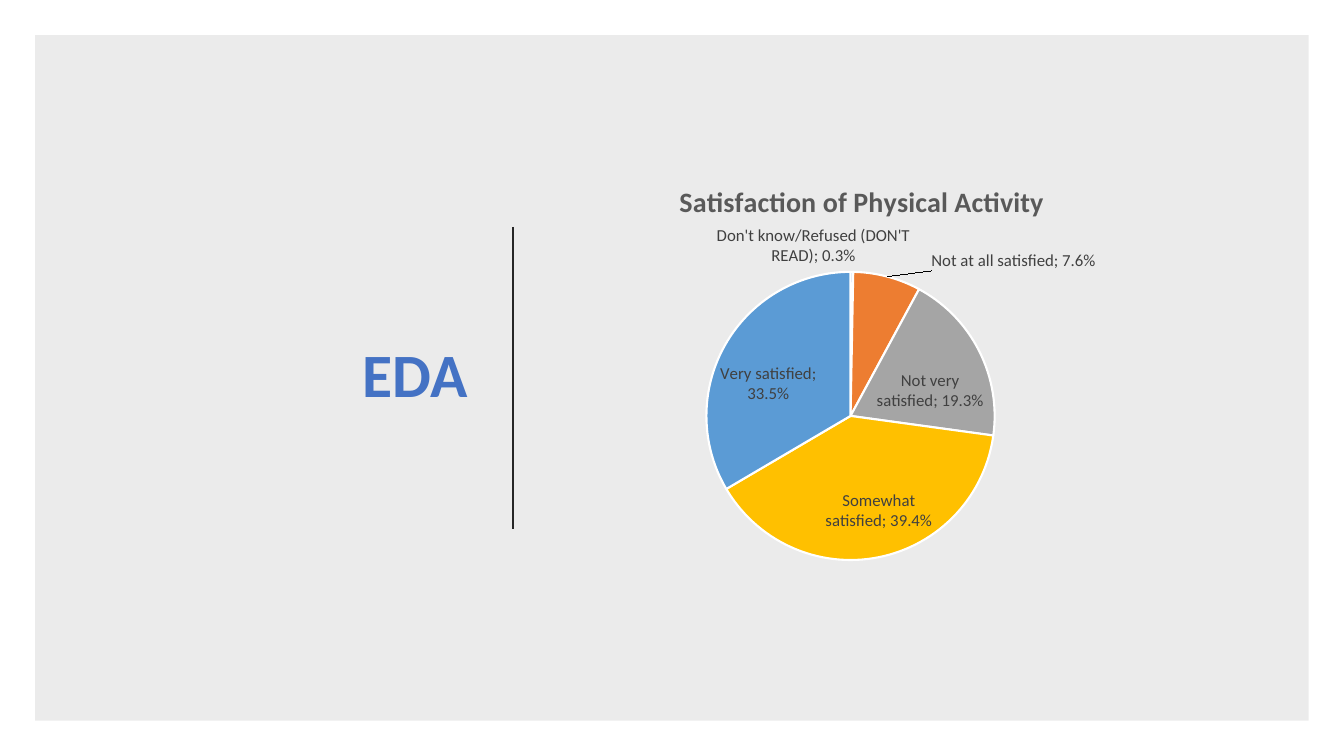
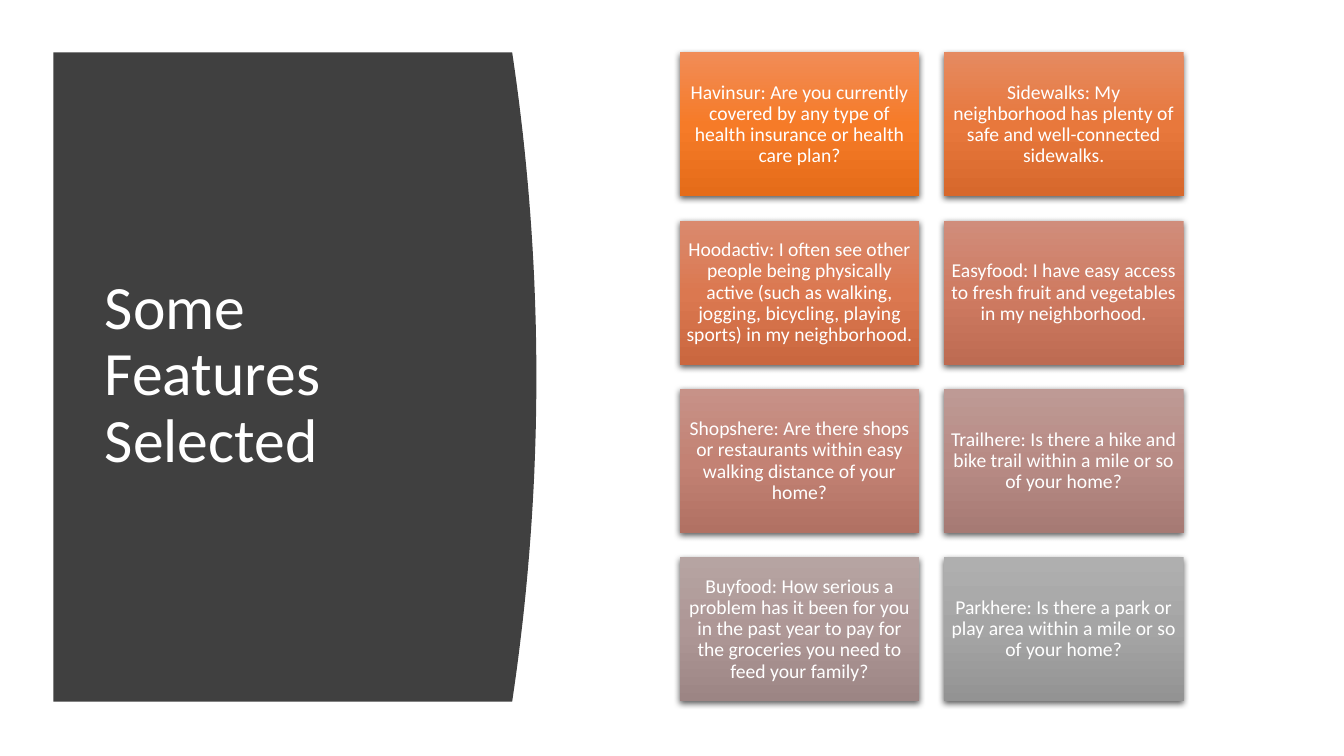
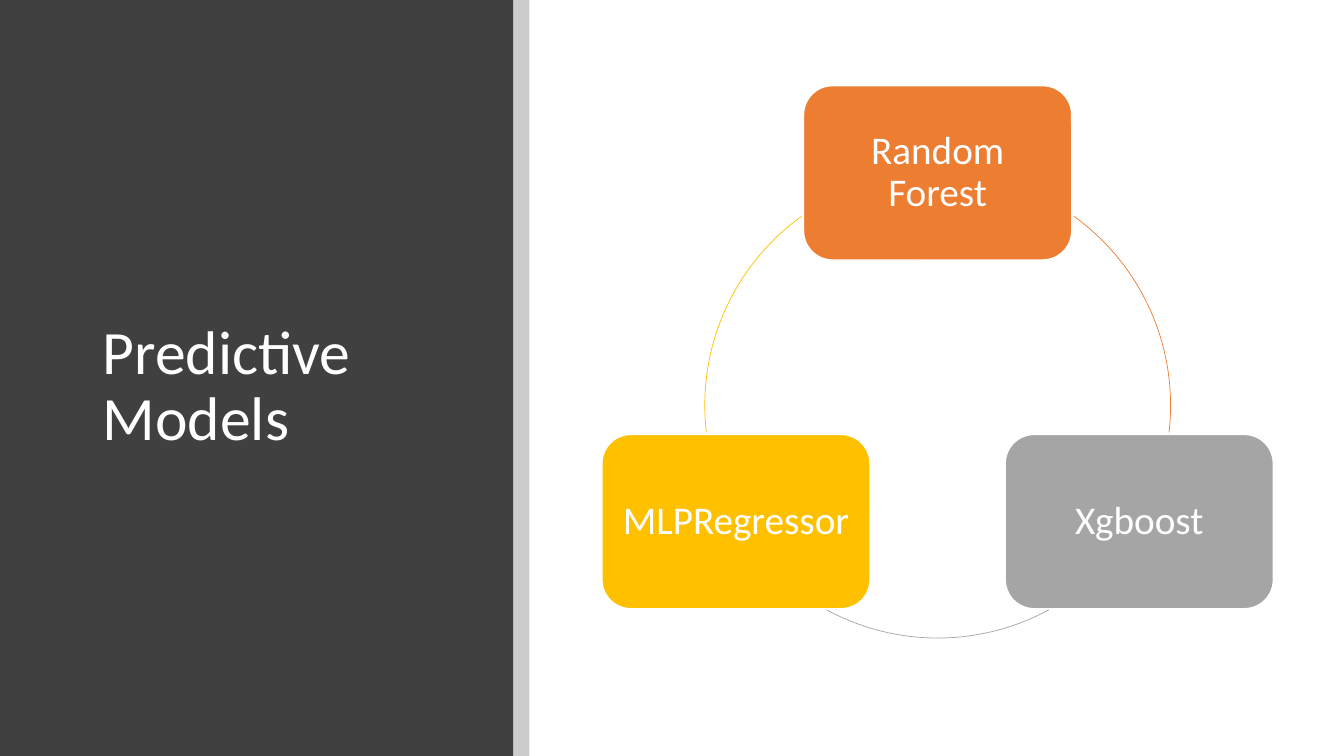
from lxml import etree
from pptx import Presentation
from pptx.chart.data import CategoryChartData
from pptx.dml.color import RGBColor
from pptx.enum.chart import XL_CHART_TYPE, XL_LABEL_POSITION
from pptx.enum.shapes import MSO_CONNECTOR, MSO_SHAPE
from pptx.enum.text import MSO_ANCHOR, PP_ALIGN
from pptx.oxml import parse_xml
from pptx.oxml.ns import nsdecls, qn
from pptx.util import Inches, Pt

PIE = XL_CHART_TYPE.PIE
BEST_FIT = XL_LABEL_POSITION.BEST_FIT
STRAIGHT = MSO_CONNECTOR.STRAIGHT
RECTANGLE = MSO_SHAPE.RECTANGLE
ROUNDED = MSO_SHAPE.ROUNDED_RECTANGLE
ARC = MSO_SHAPE.ARC
MIDDLE = MSO_ANCHOR.MIDDLE
LEFT, CENTER, RIGHT = PP_ALIGN.LEFT, PP_ALIGN.CENTER, PP_ALIGN.RIGHT

FONT = "Calibri"
WHITE, BLACK, DARK = "FFFFFF", "000000", "404040"
BLUE, ORANGE, GRAY, GOLD, SKY = "4472C4", "ED7D31", "A5A5A5", "FFC000", "5B9BD5"
SLIDE_WIDTH, SLIDE_HEIGHT = 13.33, 7.5

CHART_TITLE = "Satisfaction of Physical Activity"
CHART_BOX = (3.3, 1.53, 10.59, 4.44)
SATISFACTION = [
    ("Don't know/Refused (DON'T READ)", 0.003, BLUE),
    ("Not at all satisfied", 0.076, ORANGE),
    ("Not very satisfied", 0.193, GRAY),
    ("Somewhat satisfied", 0.394, GOLD),
    ("Very satisfied", 0.335, SKY),
]

FEATURES = [
    ("Havinsur: Are you currently covered by any type of health insurance "
     "or health care plan?", ("F18C57", "F67B28", "E56C19")),
    ("Sidewalks: My neighborhood has plenty of safe and well-connected "
     "sidewalks.", ("E58A61", "E8783C", "D7682C")),
    ("Hoodactiv: I often see other people being physically active (such as "
     "walking, jogging, bicycling, playing sports) in my neighborhood.",
     ("DA8A6E", "DB7850", "CA673F")),
    ("Easyfood: I have easy access to fresh fruit and vegetables in my "
     "neighborhood.", ("D08D7B", "CF7B62", "BD6B52")),
    ("Shopshere: Are there shops or restaurants within easy walking distance "
     "of your home?", ("C79288", "C38274", "B17163")),
    ("Trailhere: Is there a hike and bike trail within a mile or so of your "
     "home?", ("BE9A95", "B88B85", "A67A74")),
    ("Buyfood: How serious a problem has it been for you in the past year to "
     "pay for the groceries you need to feed your family?",
     ("B6A4A2", "AE9796", "9C8584")),
    ("Parkhere: Is there a park or play area within a mile or so of your "
     "home?", ("AFAFAF", "A5A5A5", "939393")),
]
TILE_LEFT, TILE_TOP, TILE_WIDTH, TILE_HEIGHT = 6.74, 0.52, 2.38, 1.43
COLUMN_STEP, ROW_STEP, COLUMNS = 2.62, 1.67, 2

MODELS = [
    ("Random Forest", ORANGE, 7.97, 0.85, (305.8, 6.7)),
    ("Xgboost", GRAY, 9.97, 4.31, (61.5, 118.5)),
    ("MLPRegressor", GOLD, 5.97, 4.31, (173.3, 234.2)),
]
MODEL_WIDTH, MODEL_HEIGHT = 2.66, 1.73
RING_BOX = (6.99, 1.71, 4.62, 4.62)
ARC_UNITS_PER_DEGREE = 0.6


def rgb(color):
    return RGBColor.from_string(color)


def inches(*lengths):
    return [Inches(length) for length in lengths]


def add_run(paragraph, text, size, color, bold=False):
    run = paragraph.add_run()
    run.text = text
    run.font.name = FONT
    run.font.size = Pt(size)
    run.font.bold = bold
    run.font.color.rgb = rgb(color)


def write(shape, text, size, color, align, margin=None, bold=False):
    frame = shape.text_frame
    frame.word_wrap = True
    frame.vertical_anchor = MIDDLE
    if margin is not None:
        frame.margin_left = frame.margin_right = Inches(margin)
        frame.margin_top = frame.margin_bottom = Inches(margin)
    paragraph = frame.paragraphs[0]
    paragraph.alignment = align
    paragraph.line_spacing = 0.9
    add_run(paragraph, text, size, color, bold)


def set_alpha(shape, percent):
    color = shape.element.spPr.find(qn("a:solidFill"))[0]
    etree.SubElement(color, qn("a:alpha")).set("val", str(percent * 1000))


def style(shape, fill=None, alpha=None, line=None, line_width=1):
    shape.shadow.inherit = False
    if fill:
        shape.fill.solid()
        shape.fill.fore_color.rgb = rgb(fill)
        if alpha:
            set_alpha(shape, alpha)
    else:
        shape.fill.background()
    if line:
        shape.line.color.rgb = rgb(line)
        shape.line.width = Pt(line_width)
    else:
        shape.line.fill.background()


def add_shape(slide, kind, box, **look):
    shape = slide.shapes.add_shape(kind, *inches(*box))
    style(shape, **look)
    return shape


def add_title(slide, text, box, color=WHITE, align=LEFT, bold=False):
    title = slide.shapes.title
    title.left, title.top, title.width, title.height = inches(*box)
    write(title, text, 44, color, align, bold=bold)
    slide.shapes.element.append(title.element)


def manual_layout(x, y, size=None):
    parts = []
    if size:
        parts += [("layoutTarget", "inner")]
    parts += [("xMode", "edge"), ("yMode", "edge")] if y else []
    parts += [("x", x), ("y", y)]
    if size:
        parts += [("w", size[0]), ("h", size[1])]
    body = "".join(f'<c:{name} val="{value}"/>' for name, value in parts)
    return parse_xml(f'<c:layout {nsdecls("c")}><c:manualLayout>{body}'
                     "</c:manualLayout></c:layout>")


def replace_layout(parent, layout, position):
    for old in parent.findall(qn("c:layout")):
        parent.remove(old)
    parent.insert(position, layout)


def add_pie(slide):
    data = CategoryChartData(number_format="0.0%")
    data.categories = [name for name, _, _ in SATISFACTION]
    data.add_series("Series 1", [value for _, value, _ in SATISFACTION])
    chart = slide.shapes.add_chart(PIE, *inches(*CHART_BOX), data).chart
    chart.has_legend = False
    chart.font.name = FONT
    chart.font.size = Pt(10)

    chart.has_title = True
    add_run(chart.chart_title.text_frame.paragraphs[0], CHART_TITLE, 20,
            "595959", True)
    title_element = chart.element.find(".//" + qn("c:title"))
    replace_layout(title_element, manual_layout(0.32, 0.05), 1)
    plot_area = chart.element.find(".//" + qn("c:plotArea"))
    replace_layout(plot_area, manual_layout(0.35, 0.26, (0.27, 0.65)), 0)

    plot = chart.plots[0]
    plot.vary_by_categories = True
    series = plot.series[0]
    for index, (_, _, color) in enumerate(SATISFACTION):
        wedge = series.points[index].format
        wedge.fill.solid()
        wedge.fill.fore_color.rgb = rgb(color)
        wedge.line.color.rgb = rgb(WHITE)
        wedge.line.width = Pt(1.5)

    labels = series.data_labels
    labels.show_category_name = True
    labels.show_value = True
    labels.show_percentage = False
    labels.number_format = "0.0%"
    labels.number_format_is_linked = False
    labels.position = BEST_FIT
    labels.font.name = FONT
    labels.font.size = Pt(12)
    labels.font.color.rgb = rgb(DARK)
    label_list = chart.element.find(".//" + qn("c:ser")).find(qn("c:dLbls"))
    leader = label_list.find(qn("c:showLeaderLines"))
    if leader is None:
        leader = etree.SubElement(label_list, qn("c:showLeaderLines"))
    leader.set("val", "1")
    shifted = parse_xml(
        f'<c:dLbl {nsdecls("c")}><c:idx val="1"/>'
        '<c:dLblPos val="bestFit"/><c:showLegendKey val="0"/>'
        '<c:showVal val="1"/><c:showCatName val="1"/>'
        '<c:showSerName val="0"/><c:showPercent val="0"/>'
        '<c:showBubbleSize val="0"/></c:dLbl>')
    shifted.insert(1, manual_layout(0.04, 0))
    label_list.insert(0, shifted)


def add_curved_panel(slide):
    left, top, edge, bottom, bulge, steps = 0.53, 0.52, 5.08, 6.96, 0.24, 40
    curve = []
    for step in range(steps + 1):
        part = step / steps
        curve.append((edge + 4 * bulge * part * (1 - part),
                      top + (bottom - top) * part))
    builder = slide.shapes.build_freeform(Inches(left), Inches(top))
    builder.add_line_segments([inches(*point) for point in curve]
                              + [inches(left, bottom)])
    style(builder.convert_to_shape(), fill=DARK)


def add_tile(slide, box, text, colors):
    tile = add_shape(slide, RECTANGLE, box, fill=colors[1])
    stops = "".join(
        f'<a:gs pos="{index * 50000}"><a:srgbClr val="{color}"/></a:gs>'
        for index, color in enumerate(colors))
    properties = tile.element.spPr
    properties.replace(properties.find(qn("a:solidFill")), parse_xml(
        f'<a:gradFill {nsdecls("a")} rotWithShape="1"><a:gsLst>{stops}'
        '</a:gsLst><a:lin ang="5400000" scaled="0"/></a:gradFill>'))
    properties.find(qn("a:effectLst")).append(parse_xml(
        f'<a:outerShdw {nsdecls("a")} blurRad="{Pt(4.5)}" dist="{Pt(1.5)}" '
        'dir="5400000" algn="ctr" rotWithShape="0"><a:srgbClr val="000000">'
        '<a:alpha val="63000"/></a:srgbClr></a:outerShdw>'))
    write(tile, text, 14, WHITE, CENTER, 0.06)


presentation = Presentation()
presentation.slide_width, presentation.slide_height = inches(
    SLIDE_WIDTH, SLIDE_HEIGHT)
title_only = presentation.slide_layouts[5]
eda, features, models = [
    presentation.slides.add_slide(title_only) for _ in range(3)]

add_shape(eda, RECTANGLE, (0.35, 0.35, 12.63, 6.8), fill=BLACK, alpha=8)
add_title(eda, "EDA", (0.92, 1.05, 3.82, 5.39), BLUE, RIGHT, True)
divider = eda.shapes.add_connector(STRAIGHT, *inches(5.09, 2.25, 5.09, 5.25))
divider.line.color.rgb = rgb("262626")
divider.line.width = Pt(1.5)
etree.SubElement(divider.element.spPr, qn("a:effectLst"))
add_pie(eda)

add_curved_panel(features)
add_title(features, "Some Features Selected", (0.94, 1.11, 3.74, 5.24))
for index, (text, colors) in enumerate(FEATURES):
    row, column = divmod(index, COLUMNS)
    add_tile(features, (TILE_LEFT + column * COLUMN_STEP,
                        TILE_TOP + row * ROW_STEP,
                        TILE_WIDTH, TILE_HEIGHT), text, colors)

add_shape(models, RECTANGLE, (0, 0, 5.09, SLIDE_HEIGHT), fill=DARK)
add_title(models, "Predictive Models", (0.92, 0.89, 3.65, 5.91))
add_shape(models, RECTANGLE, (5.09, 0, 0.16, SLIDE_HEIGHT),
          fill=BLACK, alpha=20)
for name, color, left, top, angles in MODELS:
    box = add_shape(models, ROUNDED, (left, top, MODEL_WIDTH, MODEL_HEIGHT),
                    fill=color, line=WHITE)
    write(box, name, 28, WHITE, CENTER, 0.12)
    arc = add_shape(models, ARC, RING_BOX, line=color, line_width=0.5)
    for index, angle in enumerate(angles):
        arc.adjustments[index] = angle * ARC_UNITS_PER_DEGREE

presentation.save("out.pptx")
